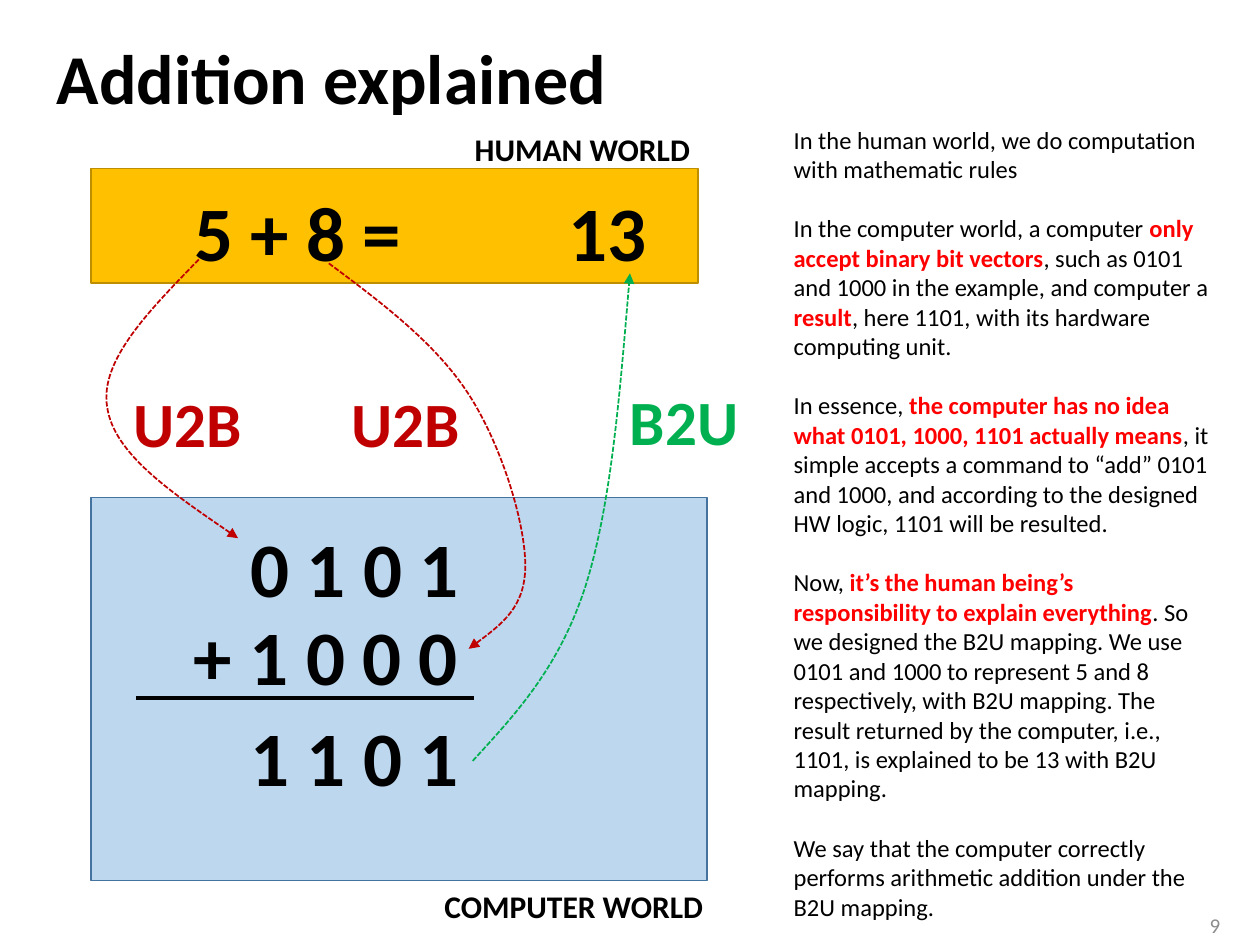
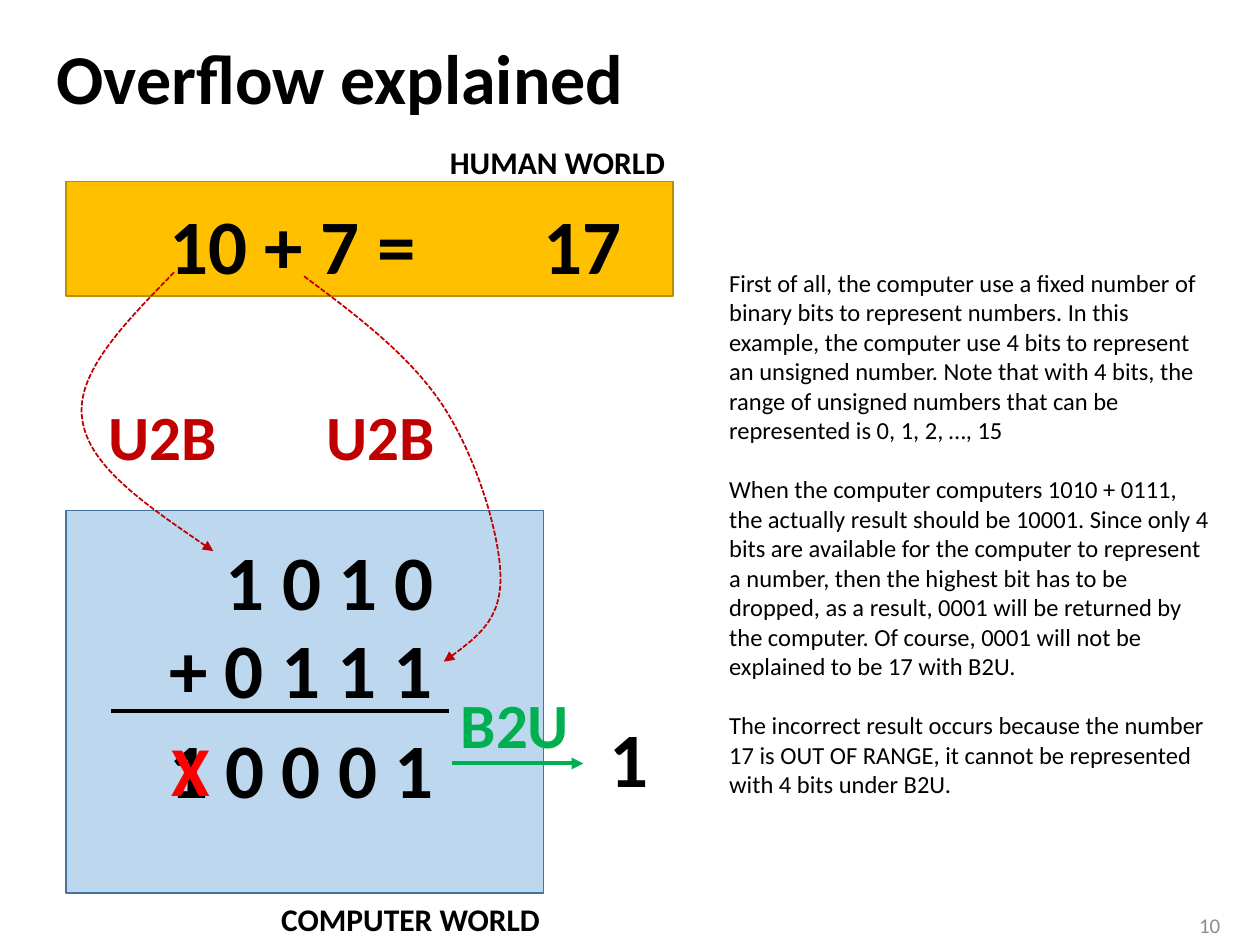
from dataclasses import dataclass
from typing import Optional

from pptx import Presentation
from pptx.dml.color import RGBColor
from pptx.enum.dml import MSO_LINE_DASH_STYLE as Dash
from pptx.enum.shapes import MSO_AUTO_SHAPE_TYPE as ShapeType, MSO_CONNECTOR_TYPE as ConnectorType
from pptx.enum.text import MSO_ANCHOR as Anchor, MSO_AUTO_SIZE as AutoSize, PP_ALIGN as Align
from pptx.oxml.xmlchemy import OxmlElement
from pptx.util import Cm, Pt


@dataclass(frozen=True)
class Theme:
    font: str = "Calibri"
    ink: str = "000000"
    encode: str = "C00000"
    decode: str = "00B050"
    alert: str = "FF0000"
    muted: str = "8C8C8C"
    human_fill: str = "FFC000"
    human_line: str = "BD8E00"
    computer_fill: str = "BDD7EE"
    computer_line: str = "43739E"
    title: float = 40
    digits: float = 44
    cross: float = 40
    mapping: float = 36
    world: float = 18
    body: float = 14
    number: float = 12
    thin: float = 1
    thick: float = 2.25
    body_gap: float = 17.1


THEME = Theme()


@dataclass(frozen=True)
class Box:
    left: float
    top: float
    width: float
    height: float

    def emu(self):
        return Cm(self.left), Cm(self.top), Cm(self.width), Cm(self.height)


@dataclass(frozen=True)
class Label:
    text: str
    box: Box
    size: float = THEME.digits
    color: str = THEME.ink


@dataclass(frozen=True)
class Curve:
    points: tuple[tuple[float, float], ...]
    color: str


@dataclass(frozen=True)
class Line:
    left: float
    right: float
    top: float
    color: str
    arrow: bool = False


@dataclass(frozen=True)
class Example:
    title: str
    number: str
    shift: tuple[float, float]
    computer_width: float
    expression: str
    expression_width: float
    result: str
    operands: tuple[str, str]
    total: str
    total_width: float
    explanation_box: Box
    explanation: tuple[str, ...]
    labels: tuple[Label, ...]
    curve: Optional[Curve] = None
    arrow: Optional[Line] = None


DIGITS_HEIGHT = 2.13
DIGITS_RIGHT = 9.55
FOUR_BITS_WIDTH = 4.75
FIVE_BITS_WIDTH = 5.89
MAPPING_SIZE = (2.72, 1.8)

ENCODE_CURVES = (
    Curve(((4.01, 5.23), (3.02, 6.25), (2.01, 7.26), (2.16, 8.2),
           (2.29, 9.14), (3.53, 9.98), (4.8, 10.85)), THEME.encode),
    Curve(((6.63, 5.31), (7.72, 6.12), (8.79, 6.93), (9.45, 7.95), (10.11, 8.97),
           (10.59, 10.54), (10.59, 11.4), (10.59, 12.24), (10.03, 12.65), (9.45, 13.08)),
          THEME.encode),
)

EXAMPLES = (
    Example(
        title="Addition explained", number="9", shift=(0, 0), computer_width=12.42,
        expression="5 + 8 =", expression_width=5.08, result="13",
        operands=("0 1 0 1", "+ 1 0 0 0"), total="1 1 0 1", total_width=FOUR_BITS_WIDTH,
        explanation_box=Box(15.75, 2.39, 8.97, 17.02),
        explanation=(
            "In the human world, we do computation with mathematic rules",
            "In the computer world, a computer *only accept binary bit vectors*, such as 0101 "
            "and 1000 in the example, and computer a *result*, here 1101, with its hardware "
            "computing unit.",
            "In essence, *the computer has no idea what 0101, 1000, 1101 actually means*, it "
            "simple accepts a command to “add” 0101 and 1000, and according to the designed "
            "HW logic, 1101 will be resulted.",
            "Now, *it’s the human being’s responsibility to explain everything*. So we designed "
            "the B2U mapping. We use 0101 and 1000 to represent 5 and 8 respectively, with B2U "
            "mapping. The result returned by the computer, i.e., 1101, is explained to be 13 "
            "with B2U mapping.",
            "We say that the computer correctly performs arithmetic addition under the B2U mapping.",
        ),
        labels=(Label("B2U", Box(12.45, 7.59, *MAPPING_SIZE), THEME.mapping, THEME.decode),),
        curve=Curve(((9.53, 15.34), (10.39, 14.4), (11.25, 13.49), (11.79, 11.86),
                     (12.32, 10.21), (12.5, 7.87), (12.7, 5.51)), THEME.decode),
    ),
    Example(
        title="Overflow explained", number="10", shift=(-0.5, 0.26), computer_width=9.63,
        expression="10 + 7 =", expression_width=5.87, result="17",
        operands=("1 0 1 0", "+ 0 1 1 1"), total="1 0 0 0 1", total_width=FIVE_BITS_WIDTH,
        explanation_box=Box(14.45, 5.28, 10.29, 11.63),
        explanation=(
            "First of all, the computer use a fixed number of binary bits to represent numbers. "
            "In this example, the computer use 4 bits to represent an unsigned number. Note that "
            "with 4 bits, the range of unsigned numbers that can be represented is 0, 1, 2, …, 15",
            "When the computer computers 1010 + 0111, the actually result should be 10001. Since "
            "only 4 bits are available for the computer to represent a number, then the highest "
            "bit has to be dropped, as a result, 0001 will be returned by the computer. Of course, "
            "0001 will not be explained to be 17 with B2U.",
            "The incorrect result occurs because the number 17 is OUT OF RANGE, it cannot be "
            "represented with 4 bits under B2U.",
        ),
        labels=(
            Label("B2U", Box(9.04, 13.69, *MAPPING_SIZE), THEME.mapping, THEME.decode),
            Label("X", Box(3.2, 14.53, 1.3, 1.96), THEME.cross, THEME.alert),
            Label("1", Box(12.04, 14.2, 1.3, DIGITS_HEIGHT)),
        ),
        arrow=Line(9.12, 11.76, 15.39, THEME.decode, arrow=True),
    ),
)


def format_font(font, size: float, color: str, bold: bool) -> None:
    font.name = THEME.font
    font.size = Pt(size)
    font.bold = bold
    font.color.rgb = RGBColor.from_string(color)


def format_line(shape, color: str, width: float) -> None:
    shape.line.color.rgb = RGBColor.from_string(color)
    shape.line.width = Pt(width)


def add_arrowhead(shape) -> None:
    arrowhead = OxmlElement("a:tailEnd")
    arrowhead.set("type", "triangle")
    shape.element.xpath(".//a:ln")[0].append(arrowhead)


def add_title(slide, text: str) -> None:
    title = slide.shapes.title
    title.left, title.top, title.width, title.height = Box(0.89, 0.48, 23.6, 2.34).emu()
    frame = title.text_frame
    frame.text = text
    frame.auto_size = AutoSize.NONE
    frame.vertical_anchor = Anchor.MIDDLE
    paragraph = frame.paragraphs[0]
    paragraph.alignment = Align.LEFT
    paragraph.line_spacing = 0.9
    format_font(paragraph.runs[0].font, THEME.title, THEME.ink, True)


def add_number(slide, text: str) -> None:
    frame = slide.shapes.add_textbox(*Box(23.55, 18.26, 1.3, 0.79).emu()).text_frame
    frame.text = text
    frame.word_wrap = True
    frame.vertical_anchor = Anchor.MIDDLE
    paragraph = frame.paragraphs[0]
    paragraph.alignment = Align.RIGHT
    format_font(paragraph.runs[0].font, THEME.number, THEME.muted, False)


def add_panel(slide, box: Box, fill: str, line: str) -> None:
    panel = slide.shapes.add_shape(ShapeType.RECTANGLE, *box.emu())
    panel.shadow.inherit = False
    panel.fill.solid()
    panel.fill.fore_color.rgb = RGBColor.from_string(fill)
    format_line(panel, line, THEME.thin)


def add_label(slide, label: Label, shift: tuple[float, float] = (0, 0)) -> None:
    text_box = slide.shapes.add_textbox(*label.box.emu())
    text_box.left += Cm(shift[0])
    text_box.top += Cm(shift[1])
    frame = text_box.text_frame
    frame.text = label.text
    frame.word_wrap = False
    frame.auto_size = AutoSize.SHAPE_TO_FIT_TEXT
    format_font(frame.paragraphs[0].runs[0].font, label.size, label.color, True)


def add_line(slide, line: Line) -> None:
    connector = slide.shapes.add_connector(
        ConnectorType.STRAIGHT, Cm(line.left), Cm(line.top), Cm(line.right), Cm(line.top))
    format_line(connector, line.color, THEME.thick)
    if line.arrow:
        add_arrowhead(connector)
    connector.element.spPr.append(OxmlElement("a:effectLst"))


def add_curve(slide, curve: Curve, shift: tuple[float, float] = (0, 0)) -> None:
    start, *rest = [(Cm(x + shift[0]), Cm(y + shift[1])) for x, y in curve.points]
    builder = slide.shapes.build_freeform(*start)
    builder.add_line_segments(rest, close=False)
    shape = builder.convert_to_shape()
    segments = shape.element.xpath(".//a:lnTo")
    for first in range(0, len(segments), 3):
        bezier = OxmlElement("a:cubicBezTo")
        segments[first].addprevious(bezier)
        for segment in segments[first:first + 3]:
            bezier.append(segment[0])
            segment.getparent().remove(segment)
    shape.shadow.inherit = False
    shape.fill.background()
    format_line(shape, curve.color, THEME.thin)
    shape.line.dash_style = Dash.SQUARE_DOT
    add_arrowhead(shape)


def add_explanation(slide, box: Box, texts: tuple[str, ...]) -> None:
    frame = slide.shapes.add_textbox(*box.emu()).text_frame
    frame.word_wrap = True
    frame.auto_size = AutoSize.SHAPE_TO_FIT_TEXT
    for index, text in enumerate(texts):
        paragraph = frame.add_paragraph() if index else frame.paragraphs[0]
        if index:
            paragraph.space_before = Pt(THEME.body_gap)
        for position, part in enumerate(text.split("*")):
            run = paragraph.add_run()
            run.text = part
            emphasized = position % 2 == 1
            color = THEME.alert if emphasized else THEME.ink
            format_font(run.font, THEME.body, color, emphasized)


def add_worlds(slide, example: Example) -> None:
    dx, dy = example.shift
    computer = Box(1.83 + dx, 10.03 + dy, example.computer_width, 7.72)
    add_panel(slide, computer, THEME.computer_fill, THEME.computer_line)
    add_panel(slide, Box(1.83 + dx, 3.4 + dy, 12.24, 2.31), THEME.human_fill, THEME.human_line)
    add_label(slide, Label("HUMAN WORLD", Box(9.32, 2.49, 4.9, 1.02), THEME.world), example.shift)
    computer_label = Box(computer.left + computer.width - 5.54, computer.top + computer.height,
                         5.79, 1.02)
    add_label(slide, Label("COMPUTER WORLD", computer_label, THEME.world))


def add_calculation(slide, example: Example) -> None:
    dx, dy = example.shift
    first, second = example.operands
    add_label(slide, Label(example.expression, Box(3.67, 3.59, example.expression_width,
                                                   DIGITS_HEIGHT)), example.shift)
    add_label(slide, Label(example.result, Box(11.21, 3.59, 2.11, DIGITS_HEIGHT)), example.shift)
    rows = ((first, FOUR_BITS_WIDTH, 10.37), (second, FIVE_BITS_WIDTH, 12.14),
            (example.total, example.total_width, 14.17))
    for text, width, top in rows:
        box = Box(DIGITS_RIGHT - width, top, width, DIGITS_HEIGHT)
        add_label(slide, Label(text, box), example.shift)
    add_line(slide, Line(2.74 + dx, DIGITS_RIGHT + dx, 14.07 + dy, THEME.ink))
    for curve in ENCODE_CURVES:
        add_curve(slide, curve, example.shift)
    for left in (2.44, 6.84):
        label = Label("U2B", Box(left, 7.63, *MAPPING_SIZE), THEME.mapping, THEME.encode)
        add_label(slide, label, example.shift)


def add_example(presentation, example: Example) -> None:
    slide = presentation.slides.add_slide(presentation.slide_layouts.get_by_name("Title Only"))
    add_title(slide, example.title)
    add_number(slide, example.number)
    add_worlds(slide, example)
    add_calculation(slide, example)
    if example.curve:
        add_curve(slide, example.curve)
    if example.arrow:
        add_line(slide, example.arrow)
    for label in example.labels:
        add_label(slide, label)
    add_explanation(slide, example.explanation_box, example.explanation)


def main() -> None:
    presentation = Presentation()
    presentation.slide_width, presentation.slide_height = Cm(25.4), Cm(19.05)
    for example in EXAMPLES:
        add_example(presentation, example)
    presentation.save("out.pptx")


if __name__ == "__main__":
    main()
